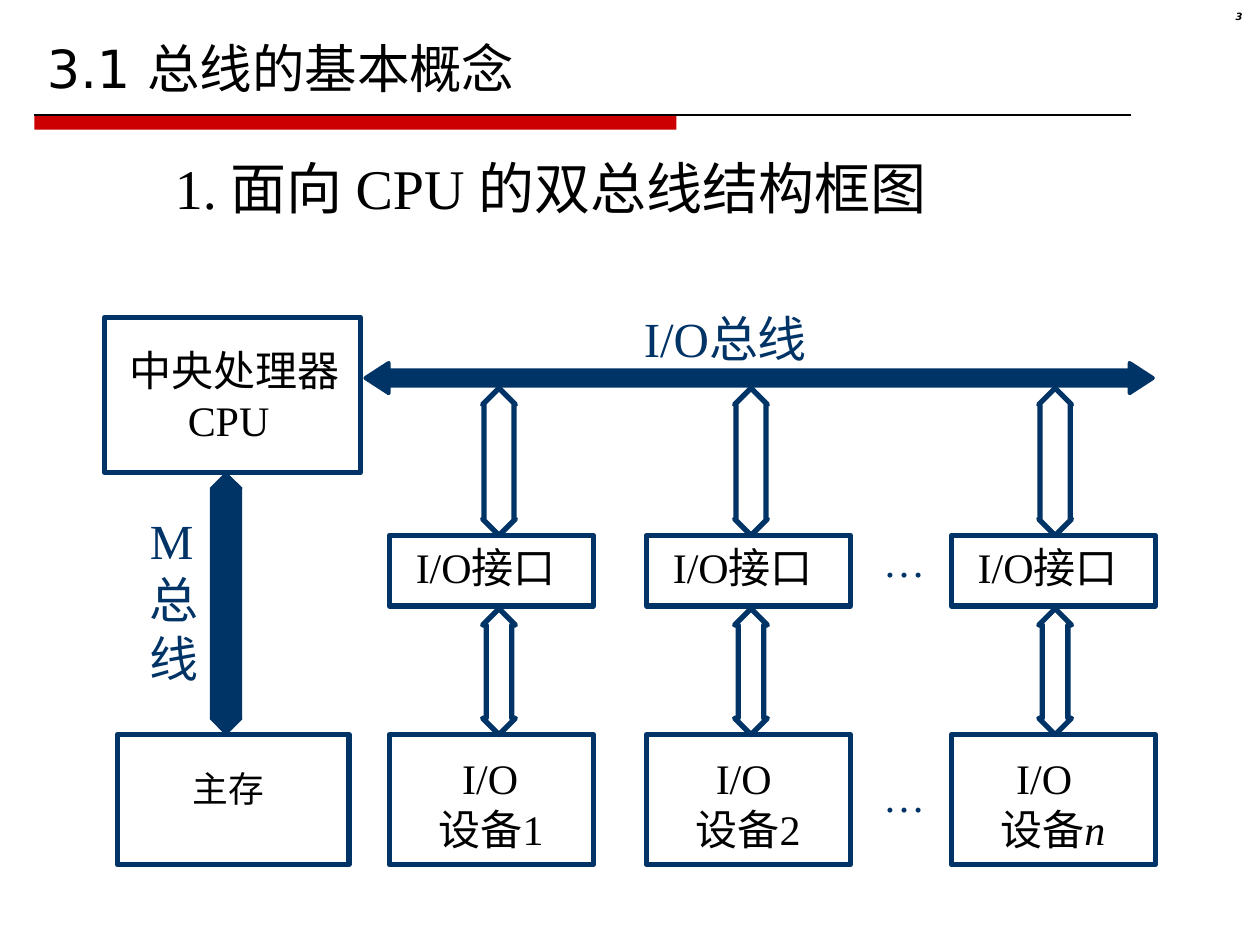
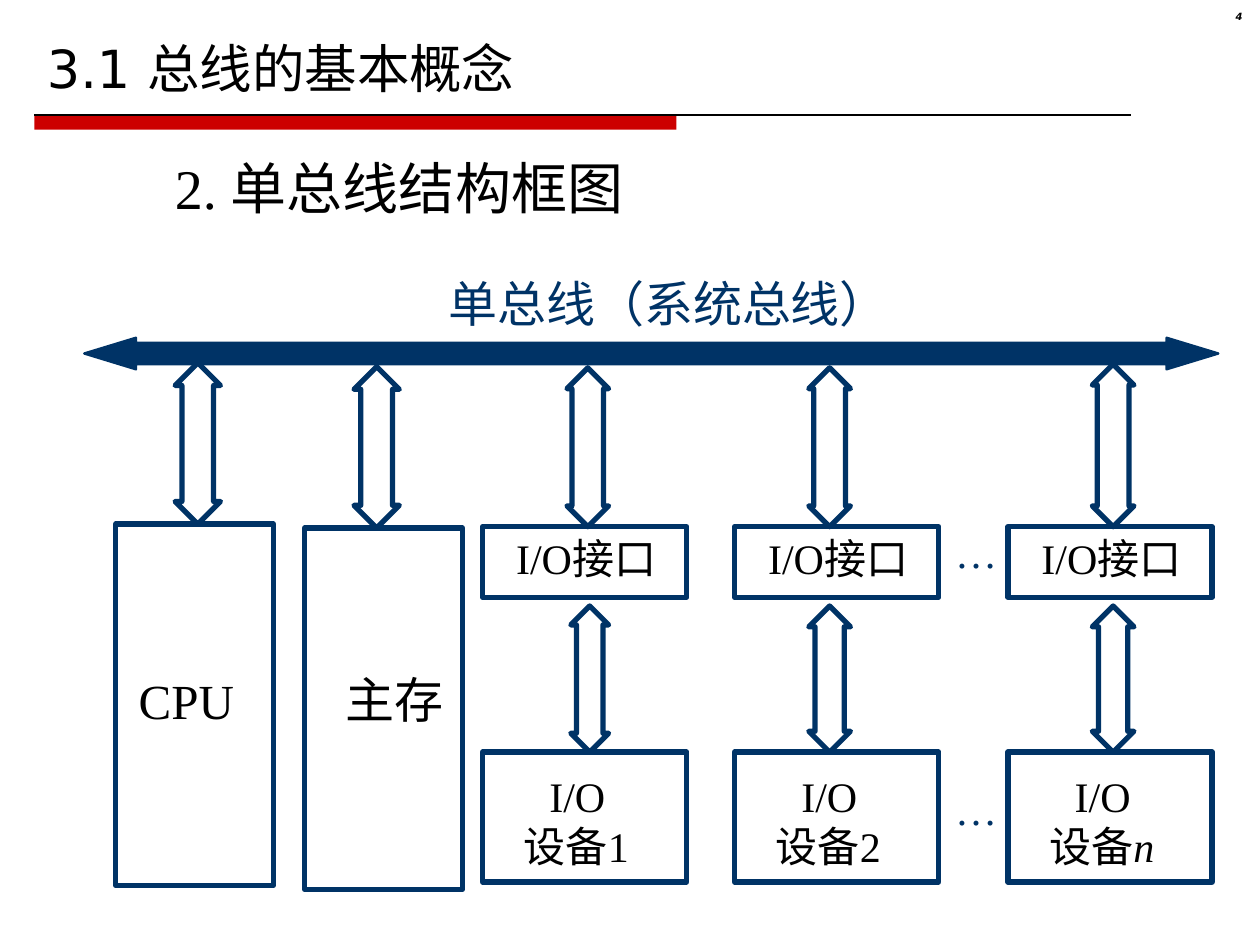
from dataclasses import dataclass

from lxml import etree
from pptx import Presentation
from pptx.dml.color import RGBColor
from pptx.enum.shapes import MSO_CONNECTOR, MSO_SHAPE
from pptx.enum.text import MSO_ANCHOR, MSO_AUTO_SIZE, PP_ALIGN
from pptx.oxml.ns import qn
from pptx.util import Pt

RECTANGLE = MSO_SHAPE.RECTANGLE
VERTICAL_ARROW = MSO_SHAPE.UP_DOWN_ARROW
HORIZONTAL_ARROW = MSO_SHAPE.LEFT_RIGHT_ARROW
STRAIGHT = MSO_CONNECTOR.STRAIGHT
TOP, MIDDLE, BOTTOM = MSO_ANCHOR.TOP, MSO_ANCHOR.MIDDLE, MSO_ANCHOR.BOTTOM
LEFT, RIGHT = PP_ALIGN.LEFT, PP_ALIGN.RIGHT
NO_AUTOFIT = MSO_AUTO_SIZE.NONE

# Shared colours, fonts and measures
NAVY, RED, BLACK = "003366", "CC0000", "000000"
SERIF, SANS, LABEL_FONT = "Times New Roman", "DejaVu Sans", "Cabin"
NO_INSETS = (0, 0, 0, 0)
INSETS = (7.2, 3.6, 7.2, 3.6)
DEVICE_INSETS = (7.2, 10.3, 7.2, 3.6)
COLUMN_WIDTH, INTERFACE_HEIGHT, DEVICE_HEIGHT = 116.6, 40.3, 74.2
DOTS_HEIGHT = 28.8


@dataclass
class Area:
    left: float
    top: float
    width: float
    height: float

    def lengths(self) -> tuple:
        return Pt(self.left), Pt(self.top), Pt(self.width), Pt(self.height)


@dataclass
class Span:
    text: str
    font: str = ""
    italic: bool = False


@dataclass
class Line:
    spans: list[Span]
    indent: float = 0


@dataclass
class Column:
    """One interface with its device below."""
    left: float
    number: str
    device_indent: float
    upper: Area
    lower: Area


@dataclass
class Channels:
    columns: list[Column]
    interface_top: float
    device_top: float
    interface_indent: float
    number_indent: float
    upper_head: float
    lower_head: float
    dots: list[Area]


def color(value: str) -> RGBColor:
    return RGBColor.from_string(value)


def plain(text: str, indent: float = 0) -> Line:
    return Line([Span(text)], indent)


def write(frame, lines: list[Line], *, size: float, font: str = SERIF, ink: str = BLACK,
          insets: tuple = INSETS, anchor=TOP, align=LEFT, spacing: float = 1,
          bold: bool = False, italic: bool = False, wrap: bool = True) -> None:
    frame.word_wrap = wrap
    frame.auto_size = NO_AUTOFIT
    frame.vertical_anchor = anchor
    frame.margin_left, frame.margin_top, frame.margin_right, frame.margin_bottom = map(Pt, insets)
    for index, line in enumerate(lines):
        para = frame.paragraphs[0] if index == 0 else frame.add_paragraph()
        para.alignment = align
        para.line_spacing = spacing
        if line.indent:
            para._p.get_or_add_pPr().set("marL", str(Pt(line.indent)))
        for span in line.spans:
            run = para.add_run()
            run.text = span.text
            run.font.name = span.font or font
            run.font.size = Pt(size)
            run.font.bold = bold
            run.font.italic = italic or span.italic
            run.font.color.rgb = color(ink)


def add_text(page, area: Area, lines: list[Line], **style) -> None:
    write(page.shapes.add_textbox(*area.lengths()).text_frame, lines, **style)


def add_outline(page, kind, area: Area, *, fill: str = "", line: str = NAVY,
                weight: float = 3):
    shape = page.shapes.add_shape(kind, *area.lengths())
    shape.shadow.inherit = False
    if fill:
        shape.fill.solid()
        shape.fill.fore_color.rgb = color(fill)
    else:
        shape.fill.background()
    if line:
        shape.line.color.rgb = color(line)
        shape.line.width = Pt(weight)
    else:
        shape.line.fill.background()
    return shape


def add_block(page, area: Area, lines: list[Line], **style) -> None:
    write(add_outline(page, RECTANGLE, area).text_frame, lines, **style)


def add_arrow(page, kind, area: Area, *, head: float, shaft: float = 0.5, **look) -> None:
    arrow = add_outline(page, kind, area, **look)
    arrow.adjustments[0] = shaft
    arrow.adjustments[1] = head


def add_page(deck, number: str, heading: str):
    page = deck.slides.add_slide(deck.slide_layouts[5])
    # Title with its red band and thin rule
    add_outline(page, RECTANGLE, Area(19.6, 65.7, 367, 8.4), fill=RED, line="")
    rule = page.shapes.add_connector(STRAIGHT, Pt(19.6), Pt(65.7), Pt(646.4), Pt(65.7))
    rule.line.color.rgb = color(BLACK)
    rule.line.width = Pt(0.75)
    etree.SubElement(rule._element.spPr, qn("a:effectLst"))
    title = page.shapes.title
    title.left, title.top, title.width, title.height = Area(19.6, 9.4, 680.4, 51).lengths()
    write(title.text_frame, [plain("3.1 总线的基本概念")], size=30, font=SANS, anchor=BOTTOM)
    # Page number and heading
    add_text(page, Area(674.6, 3.6, 42.5, 16.6), [plain(number)], size=5.7, font=SANS,
             align=RIGHT, spacing=0.8, bold=True, italic=True)
    add_text(page, Area(92.9, 84.2, 501, 46), [plain(heading)], size=32)
    return page


def add_channels(page, plan: Channels) -> None:
    for column in plan.columns:
        add_arrow(page, VERTICAL_ARROW, column.upper, head=plan.upper_head)
        add_arrow(page, VERTICAL_ARROW, column.lower, head=plan.lower_head)
        add_block(page, Area(column.left, plan.interface_top, COLUMN_WIDTH, INTERFACE_HEIGHT),
                  [plain("I/O接口", plan.interface_indent)], size=24)
        name = [Span("设备"), Span(column.number, italic=column.number == "n")]
        add_block(page, Area(column.left, plan.device_top, COLUMN_WIDTH, DEVICE_HEIGHT),
                  [plain("I/O", column.device_indent), Line(name, plan.number_indent)],
                  size=24, insets=DEVICE_INSETS)
    for area in plan.dots:
        add_text(page, area, [plain("…")], size=24, ink=NAVY, insets=NO_INSETS)


def add_dual_bus(deck) -> None:
    page = add_page(deck, "3", "1. 面向 CPU 的双总线结构框图")
    # Processor, memory and the two buses
    add_block(page, Area(59.8, 181.4, 146.2, 88.6),
              [plain("中央处理器", 14), plain("CPU", 47.5)],
              size=24, insets=(0, 3.6, 7.2, 3.6), anchor=MIDDLE)
    add_block(page, Area(67, 419.8, 132.5, 74.2), [plain("主存", 36)],
              size=20.4, insets=(7.2, 20.9, 7.2, 3.6), spacing=0.9)
    add_text(page, Area(367.9, 176.4, 142.6, 33.8),
             [Line([Span("I/O"), Span("总线", LABEL_FONT)])],
             size=28, ink=NAVY, insets=NO_INSETS)
    add_arrow(page, HORIZONTAL_ARROW, Area(208.8, 207.4, 450, 17.3), head=0.77,
              fill=NAVY, weight=2.25)
    add_text(page, Area(85.7, 291.7, 33.8, 100.8), [plain(mark) for mark in "M总线"],
             size=28, ink=NAVY, insets=NO_INSETS)
    add_arrow(page, VERTICAL_ARROW, Area(120.2, 270, 18, 149.8), head=0.98,
              fill=NAVY, weight=0.75)
    # Interfaces and devices
    columns = [Column(left, number, indent, Area(arrow, 221.8, 18.7, 84.2),
                      Area(arrow, 347.8, 18.7, 72))
               for left, number, indent, arrow in ((222.5, "1", 34.5, 275.8),
                                                   (369.4, "2", 32.5, 419.8),
                                                   (543.6, "n", 30, 593.6))]
    add_channels(page, Channels(
        columns, interface_top=306, device_top=419.8, interface_indent=8, number_indent=21,
        upper_head=0.92, lower_head=0.78,
        dots=[Area(504.7, top, 29.5, DOTS_HEIGHT) for top in (306, 440.6)]))


def add_single_bus(deck) -> None:
    page = add_page(deck, "4", "2. 单总线结构框图")
    # System bus
    add_text(page, Area(256.3, 156.2, 252, 33.8), [plain("单总线（系统总线）")],
             size=28, font=LABEL_FONT, ink=NAVY, insets=NO_INSETS, wrap=False)
    add_arrow(page, HORIZONTAL_ARROW, Area(48.2, 193, 648, 18), head=1.64, shaft=0.68,
              fill=NAVY, weight=1.39)
    # Processor and memory
    for name, left, top, arrow, indent, drop in (("CPU", 66.2, 299.5, 100.1, 6, 83.5),
                                                 ("主存", 174.2, 301.7, 202.3, 16, 81)):
        add_block(page, Area(left, top, 90, 206.6), [plain(name, indent)],
                  size=28, insets=(7.2, drop, 0, 3.6))
        add_arrow(page, VERTICAL_ARROW, Area(arrow, top - 92.2, 25.9, 92.2), head=0.7)
    # Interfaces and devices
    columns = [
        Column(275.8, "1", 31, Area(324, 210.2, 23.8, 90.8), Area(326.2, 346.3, 21.6, 83.5)),
        Column(419.8, "2", 31, Area(462.2, 210.2, 23.8, 90.8), Area(462.2, 346.3, 23.8, 83.5)),
        Column(576, "n", 31, Area(624.2, 208.1, 23.8, 92.9), Area(624.2, 346.3, 23.8, 83.5)),
    ]
    add_channels(page, Channels(
        columns, interface_top=301, device_top=429.8, interface_indent=12, number_indent=16.5,
        upper_head=0.76, lower_head=0.7,
        dots=[Area(545.8, 301, 30.2, DOTS_HEIGHT), Area(545.8, 447.8, 41.8, DOTS_HEIGHT)]))


def main() -> None:
    deck = Presentation()
    deck.slide_width, deck.slide_height = Pt(720), Pt(540)
    add_dual_bus(deck)
    add_single_bus(deck)
    deck.save("out.pptx")


if __name__ == "__main__":
    main()
